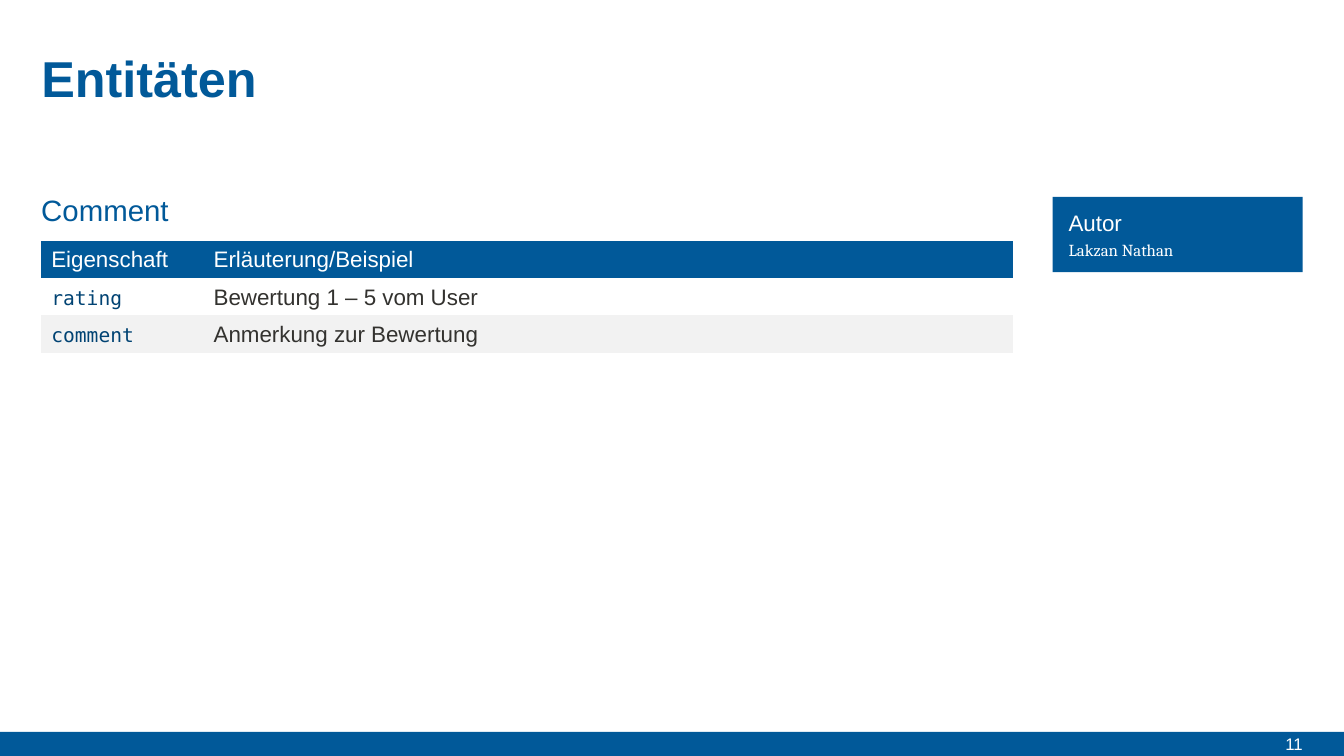
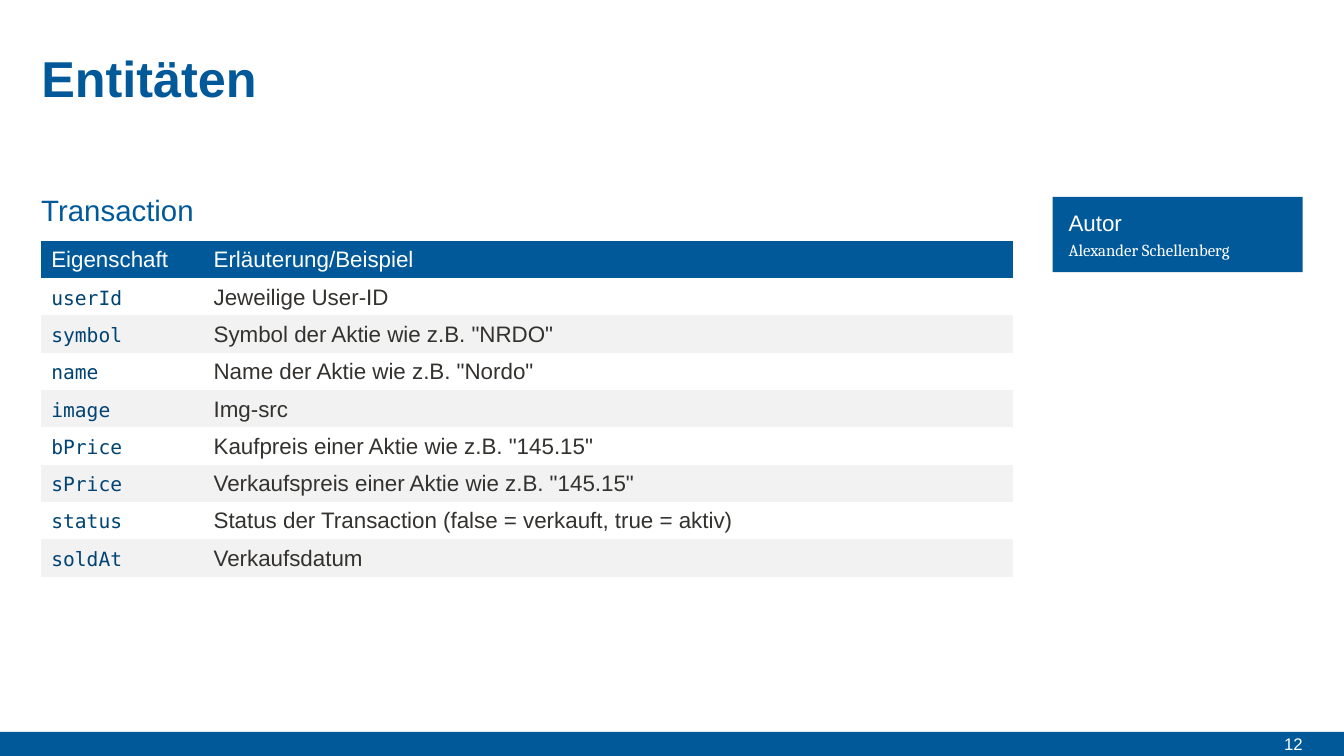
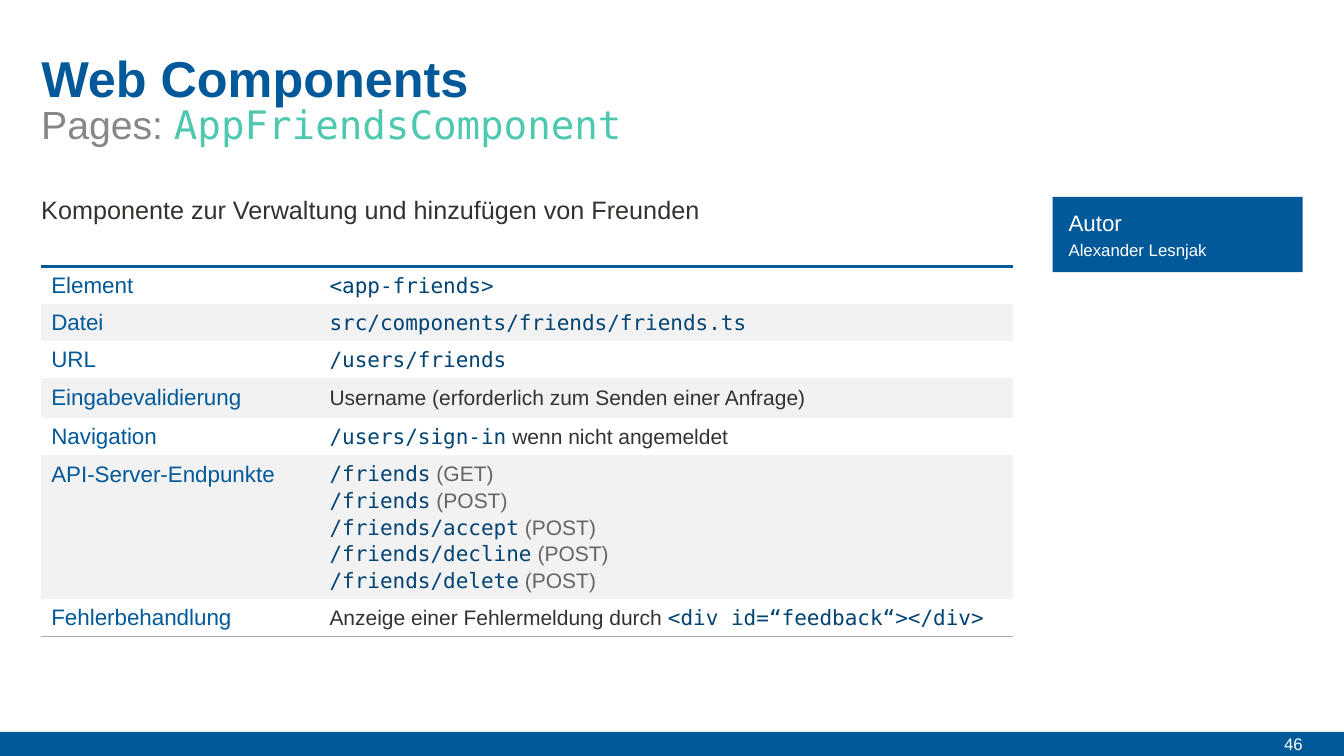
"""Builds three documentation slides with property tables and author cards."""
from lxml.etree import SubElement
from pptx import Presentation
from pptx.dml.color import RGBColor as Rgb
from pptx.enum.shapes import MSO_SHAPE as Preset
from pptx.enum.text import MSO_ANCHOR as Anchor, MSO_AUTO_SIZE as AutoSize, PP_ALIGN as Align
from pptx.oxml.ns import qn
from pptx.util import Cm, Pt

COLORS = {
    "blue": "015999", "navy": "014373", "ink": "33322F", "gray": "656565",
    "subtitle": "878787", "mint": "4EC9B0", "white": "FFFFFF", "band": "F2F2F2",
    "rule": "A9A9A9",
}
SANS, SERIF, MONO = "Arial", "Cambria", "DejaVu Sans Mono"
STYLES = {
    "title": (36, SANS, "blue"),
    "subtitle": (28, SANS, "subtitle"),
    "component": (28, MONO, "mint"),
    "heading": (21, SANS, "blue"),
    "lead": (18, SANS, "ink"),
    "header": (16, SANS, "white"),
    "label": (16, SANS, "blue"),
    "property": (14, MONO, "navy"),
    "description": (16, SANS, "ink"),
    "code": (15, MONO, "navy"),
    "note": (15, SANS, "ink"),
    "method": (15, SANS, "gray"),
    "author serif": (12, SERIF, "white"),
    "author sans": (12, SANS, "white"),
    "page": (12, SANS, "white"),
}
WIDTH, HEIGHT = Cm(33.87), Cm(19.05)
MARGIN, CONTENT_WIDTH = Cm(1.04), Cm(24.5)
FOOTER_HEIGHT = Cm(0.61)
ROW_HEIGHT = Cm(0.94)
ROW_SPACING = Pt(19)
NO_GRID_STYLE = "{2D5ABB26-0587-4C30-8999-92F81FD0307C}"


def color(name):
    return Rgb.from_string(COLORS[name])


def apply_style(font, style):
    size, font.name, color_name = STYLES[style]
    font.size = Pt(size)
    font.color.rgb = color(color_name)


def write(frame, lines, spacing=None):
    """Write lines, each a list of (text, style) runs."""
    for index, runs in enumerate(lines):
        paragraph = frame.add_paragraph() if index else frame.paragraphs[0]
        paragraph.line_spacing = spacing
        for text, style in runs:
            run = paragraph.add_run()
            run.text = text
            apply_style(paragraph.font if len(runs) == 1 else run.font, style)


def clear_insets(frame):
    frame.word_wrap = True
    frame.auto_size = AutoSize.NONE
    frame.margin_left = frame.margin_right = frame.margin_top = frame.margin_bottom = 0


def add_text(slide, box, runs, spacing=None):
    frame = slide.shapes.add_textbox(*box).text_frame
    clear_insets(frame)
    write(frame, [runs], spacing)
    return frame


def add_panel(slide, box):
    panel = slide.shapes.add_shape(Preset.RECTANGLE, *box)
    panel.shadow.inherit = False
    panel.fill.solid()
    panel.fill.fore_color.rgb = color("blue")
    panel.line.fill.background()


def add_footer(slide, box, number):
    left, top, width, height = box
    add_panel(slide, box)
    number_width = Cm(1.88)
    number_left = left + width - MARGIN - number_width
    frame = add_text(slide, (number_left, top, number_width, height), [(str(number), "page")])
    frame.vertical_anchor = Anchor.MIDDLE
    frame.paragraphs[0].alignment = Align.RIGHT


def place_title(slide, box, text):
    title = slide.shapes.title
    title.left, title.top, title.width, title.height = box
    frame = title.text_frame
    clear_insets(frame)
    frame.vertical_anchor = Anchor.TOP
    write(frame, [[(text, "title")]], 1.1)
    frame.paragraphs[0].alignment = Align.LEFT
    frame.paragraphs[0].font.bold = True


def add_author_card(slide, box, author, style):
    left, top, width, _ = box
    inset = Cm(0.4)
    add_panel(slide, box)
    for text, text_style, offset, height, spacing in (
        ("Autor", "header", 0.33, 0.68, 19),
        (author, style, 1.09, 0.5, 14),
    ):
        text_box = (left + inset, top + Cm(offset), width - 2 * inset, Cm(height))
        add_text(slide, text_box, [(text, text_style)], Pt(spacing))


def set_border(cell, side, color_name, points):
    """Draw one cell edge; side is lnT or lnB."""
    properties = cell._tc.get_or_add_tcPr()
    line = SubElement(properties, qn(f"a:{side}"), w=str(Pt(points)))
    fill = SubElement(line, qn("a:solidFill"))
    SubElement(fill, qn("a:srgbClr"), val=COLORS[color_name])
    properties.insert(0, line)


def add_table(slide, left, top, label_width, rows, fills):
    """Add a two-column table; each cell is a list of lines."""
    row_count = len(rows)
    frame = slide.shapes.add_table(
        row_count, 2, left, top, CONTENT_WIDTH, row_count * ROW_HEIGHT)
    table = frame.table
    table.first_row = table.horz_banding = False
    table._tbl.tblPr.find(qn("a:tableStyleId")).text = NO_GRID_STYLE
    table.columns[0].width = label_width
    table.columns[1].width = CONTENT_WIDTH - label_width
    for row_index, (cells, fill) in enumerate(zip(rows, fills)):
        extra_lines = max(len(lines) for lines in cells) - 1
        table.rows[row_index].height = ROW_HEIGHT + extra_lines * ROW_SPACING
        for column, lines in enumerate(cells):
            cell = table.cell(row_index, column)
            cell.fill.solid()
            cell.fill.fore_color.rgb = color(fill)
            write(cell.text_frame, lines, ROW_SPACING)
    return table


def banded(count):
    return ["band" if index % 2 else "white" for index in range(count)]


def add_base_slide(presentation, title, number, author, author_style):
    slide = presentation.slides.add_slide(presentation.slide_layouts[5])
    add_footer(slide, (0, HEIGHT - FOOTER_HEIGHT, WIDTH, FOOTER_HEIGHT), number)
    place_title(slide, (MARGIN, Cm(1.04), CONTENT_WIDTH, Cm(1.57)), title)
    add_author_card(slide, (Cm(26.53), Cm(4.96), Cm(6.3), Cm(1.9)), author, author_style)
    return slide


def add_entity_slide(presentation, number, entity, author, properties):
    slide = add_base_slide(presentation, "Entitäten", number, author, "author serif")
    add_text(slide, (MARGIN, Cm(4.85), CONTENT_WIDTH, Cm(0.89)), [(entity, "heading")], Pt(25))
    rows = [([[("Eigenschaft", "header")]], [[("Erläuterung/Beispiel", "header")]])]
    rows += [([[(name, "property")]], [[(text, "description")]]) for name, text in properties]
    add_table(slide, MARGIN, Cm(6.07), Cm(4.09), rows, ["blue"] + banded(len(properties)))


def add_component_slide(presentation, number, component, lead, author, details):
    slide = add_base_slide(presentation, "Web Components", number, author, "author sans")
    add_text(slide, (MARGIN, Cm(2.41), CONTENT_WIDTH, Cm(1.4)),
             [("Pages: ", "subtitle"), (component, "component")], 1.1)
    add_text(slide, (MARGIN, Cm(4.88), CONTENT_WIDTH, Cm(0.74)), [(lead, "lead")], Pt(22))
    rows = [([[(label, "label")]], lines) for label, lines in details]
    table = add_table(slide, MARGIN, Cm(6.71), Cm(7.01), rows, banded(len(rows)))
    table.rows[3].height = Cm(1)
    for column in range(2):
        set_border(table.cell(0, column), "lnT", "blue", 2)
        set_border(table.cell(len(rows) - 1, column), "lnB", "rule", 0.5)


COMMENT = [
    ("rating", "Bewertung 1 – 5 vom User"),
    ("comment", "Anmerkung zur Bewertung"),
]
TRANSACTION = [
    ("userId", "Jeweilige User-ID"),
    ("symbol", 'Symbol der Aktie wie z.B. "NRDO"'),
    ("name", 'Name der Aktie wie z.B. "Nordo"'),
    ("image", "Img-src"),
    ("bPrice", 'Kaufpreis einer Aktie wie z.B. "145.15"'),
    ("sPrice", 'Verkaufspreis einer Aktie wie z.B. "145.15"'),
    ("status", "Status der Transaction (false = verkauft, true = aktiv)"),
    ("soldAt", "Verkaufsdatum"),
]
ENDPOINTS = [
    ("/friends", "GET"),
    ("/friends", "POST"),
    ("/friends/accept", "POST"),
    ("/friends/decline", "POST"),
    ("/friends/delete", "POST"),
]
FRIENDS = [
    ("Element", [[("<app-friends>", "code")]]),
    ("Datei", [[("src/components/friends/friends.ts", "code")]]),
    ("URL", [[("/users/friends", "code")]]),
    ("Eingabevalidierung", [[("Username (erforderlich zum Senden einer Anfrage)", "note")]]),
    ("Navigation", [[("/users/sign-in", "code"), (" wenn nicht angemeldet", "note")]]),
    ("API-Server-Endpunkte",
     [[(route, "code"), (f" ({method})", "method")] for route, method in ENDPOINTS]),
    ("Fehlerbehandlung", [[("Anzeige einer Fehlermeldung durch ", "note"),
                           ("<div id=“feedback“></div>", "code")]]),
]


def main():
    presentation = Presentation()
    presentation.slide_width, presentation.slide_height = WIDTH, HEIGHT
    add_entity_slide(presentation, 11, "Comment", "Lakzan Nathan", COMMENT)
    add_entity_slide(presentation, 12, "Transaction", "Alexander Schellenberg", TRANSACTION)
    add_component_slide(presentation, 46, "AppFriendsComponent",
                        "Komponente zur Verwaltung und hinzufügen von Freunden",
                        "Alexander Lesnjak", FRIENDS)
    presentation.save("out.pptx")


if __name__ == "__main__":
    main()
